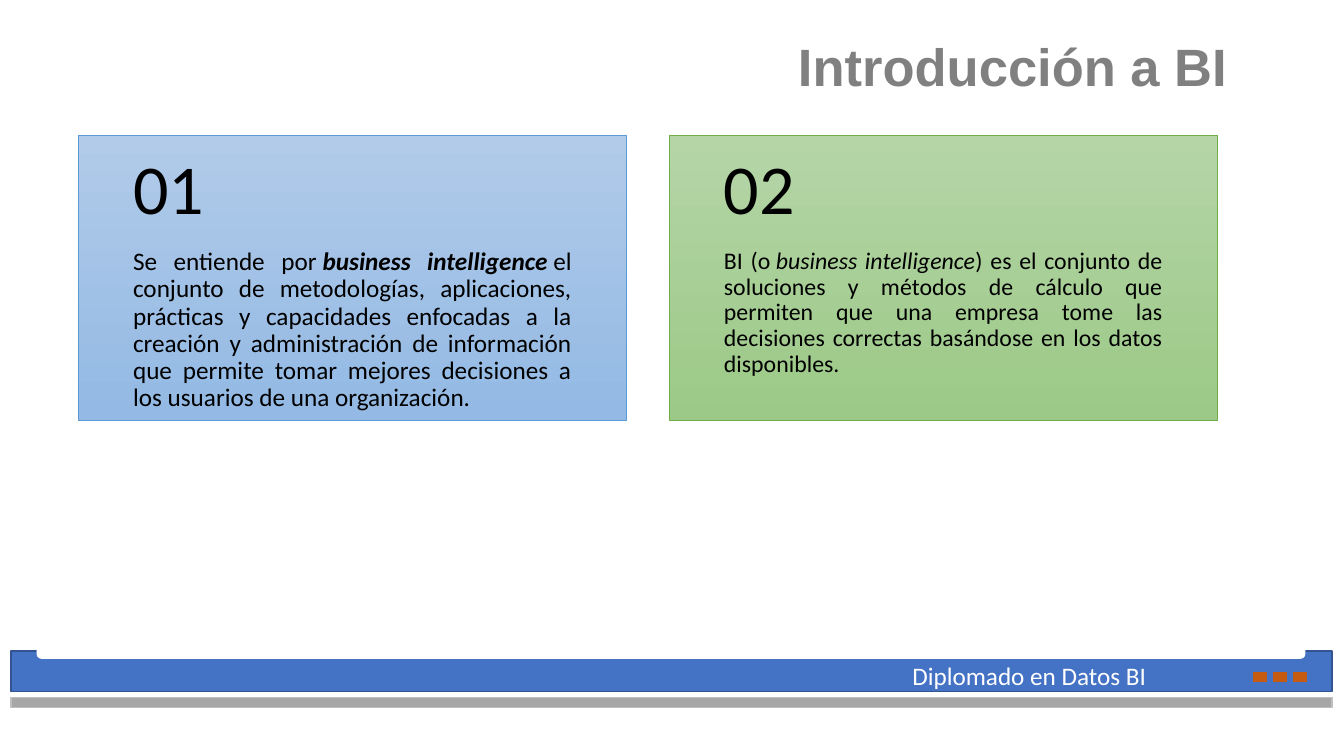
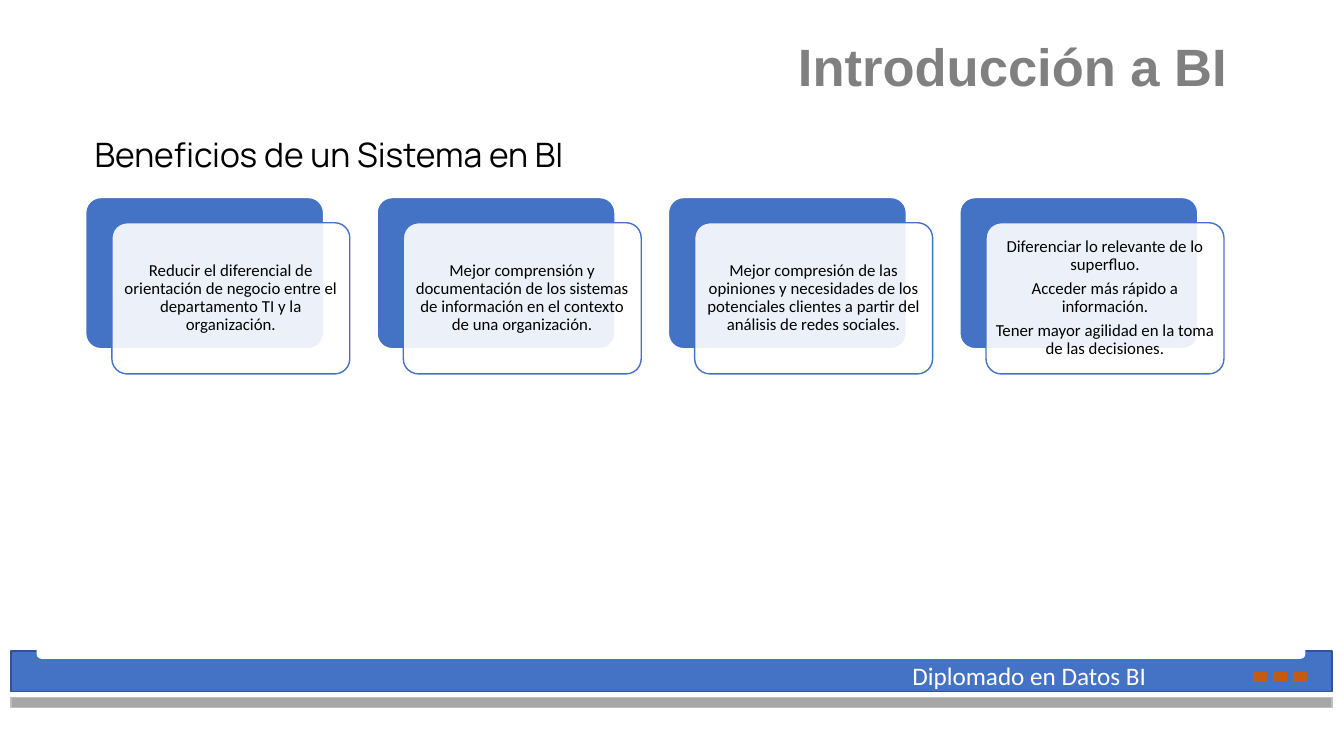
from dataclasses import dataclass

from lxml.etree import SubElement
from pptx import Presentation
from pptx.dml.color import RGBColor
from pptx.enum.shapes import MSO_SHAPE
from pptx.enum.text import MSO_ANCHOR, MSO_AUTO_SIZE, PP_ALIGN
from pptx.oxml.ns import qn
from pptx.shapes.autoshape import Shape
from pptx.slide import Slide
from pptx.util import Inches, Pt

BLUE = "4472C4"
DARK_BLUE = "325491"
WHITE = "FFFFFF"
BLACK = "000000"
TITLE_GRAY = "808080"
BAND_GRAY = "A6A6A6"
BAND_EDGE = "BFBFBF"
ORANGE = "C55A11"
BODY_FONT = "Calibri"


@dataclass(frozen=True)
class Box:
    """A rectangle on the slide, in inches."""

    left: float
    top: float
    width: float
    height: float


@dataclass(frozen=True)
class Run:
    """A stretch of text with its emphasis."""

    text: str
    bold: bool = False
    italic: bool = False


@dataclass(frozen=True)
class Definition:
    """A numbered card that defines business intelligence."""

    number: str
    runs: tuple[Run, ...]
    size: float
    gradient: tuple[str, str]
    edge: str


@dataclass(frozen=True)
class FooterPart:
    """A filled shape of the footer."""

    box: Box
    fill: str
    edge: str
    kind: MSO_SHAPE = MSO_SHAPE.RECTANGLE


FOOTER_PARTS = (
    FooterPart(Box(0.11, 6.46, 13.1, 0.4), BLUE, DARK_BLUE),
    FooterPart(Box(0.37, 6.27, 12.57, 0.26), WHITE, WHITE, MSO_SHAPE.ROUNDED_RECTANGLE),
    FooterPart(Box(0.11, 6.92, 13.1, 0.1), BAND_GRAY, BAND_EDGE),
    *(
        FooterPart(Box(12.43 + 0.2 * index, 6.67, 0.13, 0.09), ORANGE, ORANGE)
        for index in range(3)
    ),
)

DEFINITIONS = (
    Definition(
        "01",
        (
            Run("Se entiende por\u00a0"),
            Run("business intelligence", bold=True, italic=True),
            Run(
                "\u00a0el conjunto de metodologías, aplicaciones, prácticas y "
                "capacidades enfocadas a la creación y administración de información "
                "que permite tomar mejores decisiones a los usuarios de una organización."
            ),
        ),
        18,
        ("B1CBE9", "93B9E4"),
        "5B9BD5",
    ),
    Definition(
        "02",
        (
            Run("BI (o\u00a0"),
            Run("business intelligence", italic=True),
            Run(
                ") es el conjunto de soluciones y métodos de cálculo que permiten que "
                "una empresa tome las decisiones correctas basándose en los datos disponibles."
            ),
        ),
        17,
        ("B5D5A7", "9CC987"),
        "70AD47",
    ),
)

BENEFITS = (
    ("Reducir el diferencial de orientación de negocio entre el departamento TI y la organización.",),
    ("Mejor comprensión y documentación de los sistemas de información en el contexto de una organización.",),
    (
        "Mejor compresión de las opiniones y necesidades de los potenciales clientes "
        "a partir del análisis de redes sociales.",
    ),
    (
        "Diferenciar lo relevante de lo superfluo.",
        "Acceder más rápido a información.",
        "Tener mayor agilidad en la toma de las decisiones.",
    ),
)


def color(value: str) -> RGBColor:
    """Turn a hex string into a colour."""
    return RGBColor.from_string(value)


def write_text(
    shape: Shape,
    *paragraphs: tuple[Run, ...],
    size: float,
    font: str = BODY_FONT,
    text_color: str = BLACK,
    align: PP_ALIGN = PP_ALIGN.LEFT,
    anchor: MSO_ANCHOR = MSO_ANCHOR.TOP,
    line_spacing: float = 1.0,
    space_after: float = 0,
    margins: tuple[float, float, float, float] = (0.1, 0.05, 0.1, 0.05),
) -> None:
    """Write formatted paragraphs; margins run left, top, right, bottom."""
    frame = shape.text_frame
    frame.word_wrap = True
    frame.auto_size = MSO_AUTO_SIZE.NONE
    frame.vertical_anchor = anchor
    frame.margin_left, frame.margin_top, frame.margin_right, frame.margin_bottom = map(
        Inches, margins
    )
    for index, runs in enumerate(paragraphs):
        paragraph = frame.add_paragraph() if index else frame.paragraphs[0]
        paragraph.alignment = align
        paragraph.line_spacing = line_spacing
        paragraph.space_before = Pt(0)
        paragraph.space_after = Pt(space_after)
        for part in runs:
            run = paragraph.add_run()
            run.text = part.text
            run.font.name = font
            run.font.size = Pt(size)
            run.font.bold = part.bold
            run.font.italic = part.italic
            run.font.color.rgb = color(text_color)


def place(box: Box) -> tuple[Inches, Inches, Inches, Inches]:
    """Convert a box to slide lengths."""
    return Inches(box.left), Inches(box.top), Inches(box.width), Inches(box.height)


def add_text_box(slide: Slide, box: Box) -> Shape:
    """Add an empty text box."""
    return slide.shapes.add_textbox(*place(box))


def add_panel(
    slide: Slide,
    box: Box,
    *,
    fill: str | tuple[str, str],
    edge: str,
    edge_width: float = 1,
    kind: MSO_SHAPE = MSO_SHAPE.RECTANGLE,
    opacity: int = 100,
) -> Shape:
    """Add a shape with a plain fill or a top-to-bottom gradient."""
    shape = slide.shapes.add_shape(kind, *place(box))
    shape.shadow.inherit = False
    if isinstance(fill, str):
        shape.fill.solid()
        shape.fill.fore_color.rgb = color(fill)
    else:
        shape.fill.gradient()
        shape.fill.gradient_angle = 270
        for stop, value in zip(shape.fill.gradient_stops, fill):
            stop.color.rgb = color(value)
    if opacity < 100:
        fill_color = shape._element.spPr.find(qn("a:solidFill"))[0]
        SubElement(fill_color, qn("a:alpha")).set("val", str(opacity * 1000))
    shape.line.color.rgb = color(edge)
    shape.line.width = Pt(edge_width)
    return shape


def add_footer(slide: Slide) -> None:
    """Draw the bands, squares and course name."""
    for part in FOOTER_PARTS:
        add_panel(slide, part.box, fill=part.fill, edge=part.edge, kind=part.kind)
    course = add_text_box(slide, Box(8.95, 6.5, 3.45, 0.4))
    write_text(course, (Run("Diplomado en Datos BI"),), size=18, text_color=WHITE)


def add_course_slide(presentation: Presentation) -> Slide:
    """Add a slide with the shared title and footer."""
    slide = presentation.slides.add_slide(presentation.slide_layouts[5])
    title = slide.shapes.title
    title.left, title.top, title.width, title.height = place(Box(6.52, 0.4, 5.9, 0.6))
    write_text(
        title,
        (Run("Introducción a BI\u00a0", bold=True),),
        size=37.5,
        font="Arial",
        text_color=TITLE_GRAY,
        align=PP_ALIGN.RIGHT,
        anchor=MSO_ANCHOR.BOTTOM,
        line_spacing=0.7,
    )
    add_footer(slide)
    return slide


def add_definition(slide: Slide, definition: Definition, left: float) -> None:
    """Draw a definition card with its number above the text."""
    top, width, height, number_height = 1.34, 5.43, 2.83, 1.13
    add_panel(
        slide,
        Box(left, top, width, height),
        fill=definition.gradient,
        edge=definition.edge,
        edge_width=0.5,
    )
    body = add_text_box(
        slide, Box(left, top + number_height, width, height - number_height)
    )
    write_text(
        body,
        definition.runs,
        size=definition.size,
        align=PP_ALIGN.JUSTIFY,
        line_spacing=0.9,
        margins=(0.54, 0, 0.54, 0.36),
    )
    number = add_text_box(slide, Box(left, top, width, number_height))
    write_text(
        number,
        (Run(definition.number),),
        size=50,
        anchor=MSO_ANCHOR.MIDDLE,
        line_spacing=0.9,
        margins=(0.54, 0.18, 0.54, 0.18),
    )


def add_benefit(slide: Slide, sentences: tuple[str, ...], left: float) -> None:
    """Draw a blue card with a translucent text card over it."""
    rounded = MSO_SHAPE.ROUNDED_RECTANGLE
    back = add_panel(slide, Box(left, 1.96, 2.36, 1.5), fill=BLUE, edge=WHITE, kind=rounded)
    front = add_panel(
        slide, Box(left + 0.26, 2.21, 2.36, 1.5), fill=WHITE, edge=BLUE, kind=rounded, opacity=90
    )
    for card in (back, front):
        card.adjustments[0] = 0.1
    write_text(
        front,
        *((Run(sentence),) for sentence in sentences),
        size=12,
        align=PP_ALIGN.CENTER,
        anchor=MSO_ANCHOR.MIDDLE,
        line_spacing=0.9,
        space_after=4.2,
        margins=(0.05, 0.05, 0.05, 0.05),
    )


def main() -> None:
    """Build and save the presentation."""
    presentation = Presentation()
    presentation.slide_width, presentation.slide_height = Inches(13.33), Inches(7.5)

    definitions_slide = add_course_slide(presentation)
    for index, definition in enumerate(DEFINITIONS):
        add_definition(definitions_slide, definition, 0.78 + 5.86 * index)

    benefits_slide = add_course_slide(presentation)
    for index, sentences in enumerate(BENEFITS):
        add_benefit(benefits_slide, sentences, 0.85 + 2.89 * index)
    heading = add_text_box(benefits_slide, Box(0.84, 1.28, 8, 0.5))
    write_text(heading, (Run("Beneficios de un Sistema en BI"),), size=24, font="Manrope")

    presentation.save("out.pptx")


main()
